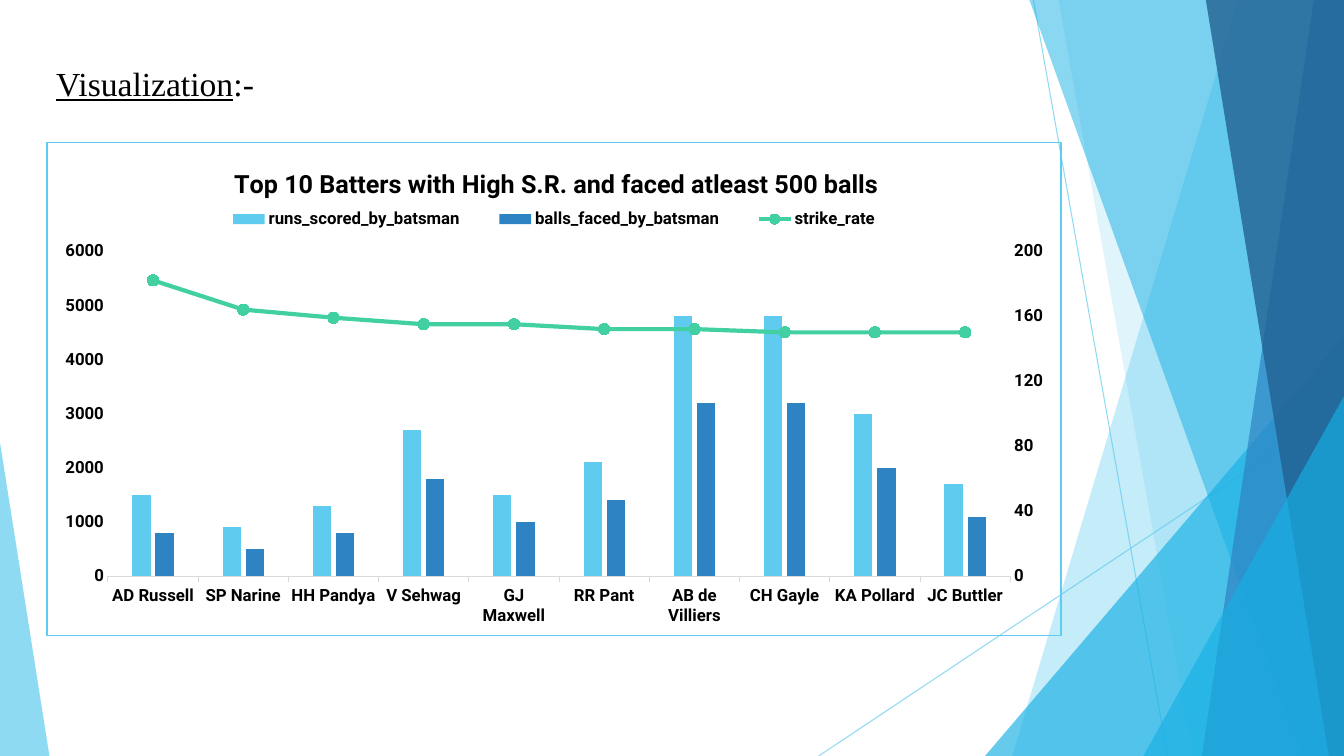
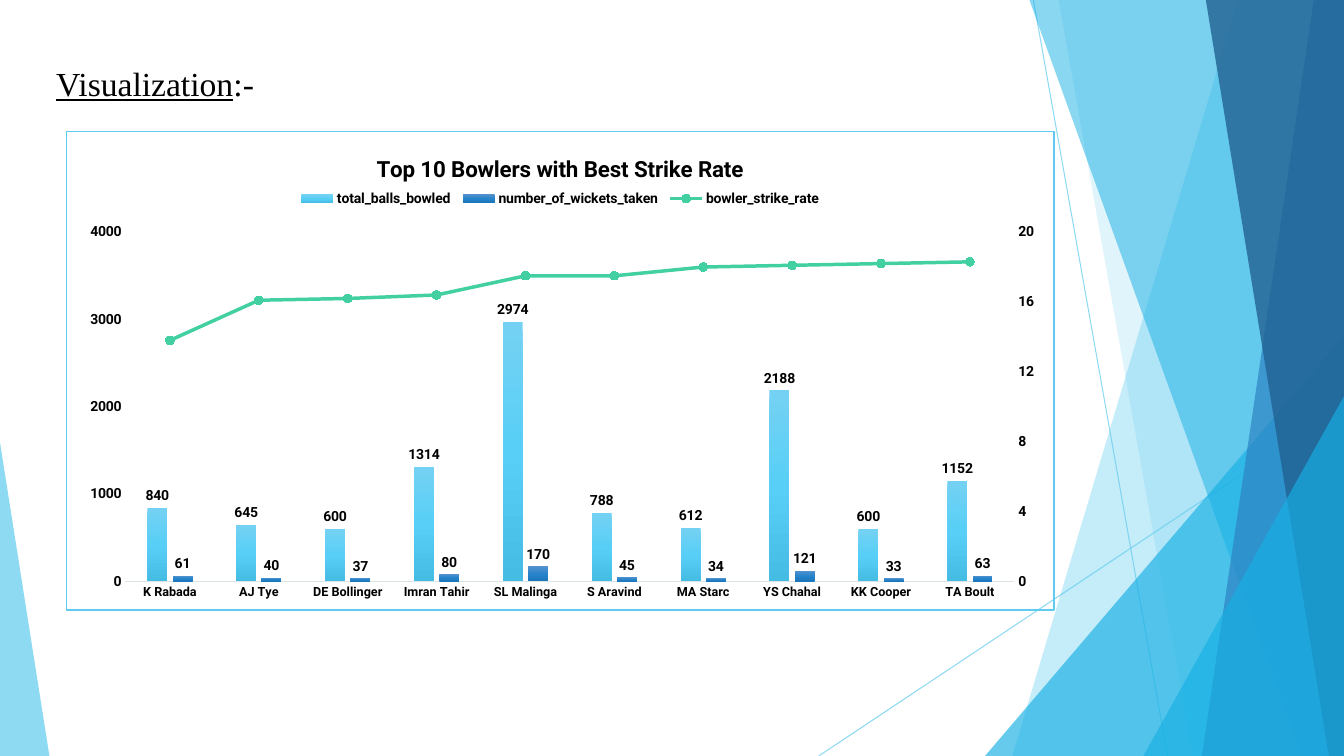
"""Builds two cricket slides, each with a column and line chart on a faceted layout."""
from copy import deepcopy

from lxml import etree
from pptx import Presentation, util as u
from pptx.chart import axis as ax, data
from pptx.dml.color import RGBColor
from pptx.enum import chart as ec, shapes, text
from pptx.oxml import parse_xml
from pptx.oxml.ns import nsdecls, qn

W, H = 13.33, 7.5
C = {"sky": "5FCBEF", "cyan": "17B0E4", "blue": "2E83C3", "navy": "226292",
     "green": "42D0A2", "mint": "3BD7A4", "black": "000000",
     "grey": "D9D9D9", "mist": "DBE4E7"}
SKY_GRAD = ("75D1F3", "58CFF6", "45BCE3")
BLUE_GRAD = ("5491CD", "2784CA", "1C76BB")

EDGES = [((10.25, 0), (11.58, H)), ((W, 4.03), (8.12, H))]
FACETS = [
    ("band", (12.28, 10.04), "sky", 36),
    ("band", (10.5, 11.83), "sky", 20),
    ("triangle", (9.77, 3.33, 3.56, 4.17, 1), "cyan", 66),
    ("band", (10.21, 12.91), "cyan", 50),
    ("band", (13.03, 11.92), "blue", 70),
    ("band", (11.96, 13.18), "navy", 80),
    ("triangle", (11.34, 3.93, 1.99, 3.57, 1), "cyan", 66),
    ("triangle", (0, 4.39, 0.49, 3.11, 0), "sky", 70),
]

BATTERS = {
    "title": "Top 10 Batters with High S.R. and faced atleast 500 balls",
    "box": (0.46, 1.41, 10.07, 4.9),
    "cats": ["AD Russell", "SP Narine", "HH Pandya", "V Sehwag", "GJ Maxwell",
             "RR Pant", "AB de Villiers", "CH Gayle", "KA Pollard", "JC Buttler"],
    "series": [
        ("runs_scored_by_batsman", [1500, 900, 1300, 2700, 1500, 2100, 4800, 4800, 3000, 1700]),
        ("balls_faced_by_batsman", [800, 500, 800, 1800, 1000, 1400, 3200, 3200, 2000, 1100]),
        ("strike_rate", [182, 164, 159, 155, 155, 152, 152, 150, 150, 150])],
    "fills": [C["sky"], C["blue"]], "labels": False, "gap": 269,
    "left": (6000, 1000), "right": (200, 40),
    "sizes": {"title": 18, "cat": 12, "val": 12},
    "cat_line": "grey", "tick": ec.XL_TICK_MARK.OUTSIDE,
    "line": 3, "marker": (8, "green"),
    "title_at": (0.18, 0.04), "legend_at": (0.15, 0.13, 0.7, 0.05),
    "plot_at": (0.06, 0.22, 0.89, 0.66),
}
BOWLERS = {
    "title": "Top 10 Bowlers with Best Strike Rate",
    "box": (0.65, 1.3, 9.81, 4.76),
    "cats": ["K Rabada", "AJ Tye", "DE Bollinger", "Imran Tahir", "SL Malinga",
             "S Aravind", "MA Starc", "YS Chahal", "KK Cooper", "TA Boult"],
    "series": [
        ("total_balls_bowled", [840, 645, 600, 1314, 2974, 788, 612, 2188, 600, 1152]),
        ("number_of_wickets_taken", [61, 40, 37, 80, 170, 45, 34, 121, 33, 63]),
        ("bowler_strike_rate", [13.8, 16.1, 16.2, 16.4, 17.5, 17.5, 18, 18.1, 18.2, 18.3])],
    "fills": [SKY_GRAD, BLUE_GRAD], "labels": True, "gap": 219,
    "left": (4000, 1000), "right": (20, 4),
    "sizes": {"title": 16, "cat": 9, "val": 10},
    "cat_line": "mist", "tick": ec.XL_TICK_MARK.NONE,
    "line": 2.5, "marker": (6, "mint"),
    "title_at": (0.31, 0.04), "legend_at": (0.23, 0.12, 0.54, 0.04),
    "plot_at": (0.06, 0.21, 0.9, 0.73),
}


def rgb(hex_color):
    return RGBColor.from_string(hex_color)


def inches(values):
    return [u.Inches(v) for v in values]


def apply(obj, **values):
    for key, value in values.items():
        setattr(obj, key, value)


def style_font(font, size, name="Roboto", bold=True, **more):
    apply(font, size=u.Pt(size), name=name, bold=bold, **more)
    font.color.rgb = rgb(C["black"])


def style_line(line, color, width):
    line.color.rgb = rgb(color)
    line.width = u.Pt(width)


def set_alpha(sp, percent):
    for clr in sp.element.iter(qn("a:srgbClr")):
        etree.SubElement(clr, qn("a:alpha")).set("val", str(percent * 1000))


def add_edge(s, start, end):
    sp = s.shapes.add_connector(shapes.MSO_CONNECTOR.STRAIGHT, *inches(start + end))
    style_line(sp.line, C["sky"], 0.75)
    set_alpha(sp, 70)
    etree.SubElement(sp.element.spPr, qn("a:effectLst"))


def add_band(s, top_x, bottom_x):
    points = [inches(p) for p in ((top_x, 0), (W, 0), (W, H), (bottom_x, H))]
    builder = s.shapes.build_freeform(*points[0])
    builder.add_line_segments(points[1:], close=True)
    return builder.convert_to_shape()


def add_triangle(s, left, top, width, height, apex):
    sp = s.shapes.add_shape(shapes.MSO_SHAPE.ISOSCELES_TRIANGLE,
                            *inches((left, top, width, height)))
    sp.adjustments[0] = apex
    return sp


def add_facet(s, kind, geometry, color, alpha):
    sp = {"band": add_band, "triangle": add_triangle}[kind](s, *geometry)
    sp.shadow.inherit = False
    sp.fill.solid()
    sp.fill.fore_color.rgb = rgb(C[color])
    sp.line.fill.background()
    set_alpha(sp, alpha)


def decorate_layout(layout, s):
    for ph in list(layout.placeholders):
        ph.element.getparent().remove(ph.element)
    for start, end in EDGES:
        add_edge(s, start, end)
    for facet in FACETS:
        add_facet(s, *facet)
    for sp in list(s.shapes):
        layout.shapes.element.append(sp.element)


def add_title(s):
    tf = s.shapes.add_textbox(*inches((0.46, 0.54, 2.34, 0.76))).text_frame
    apply(tf, word_wrap=True, vertical_anchor=text.MSO_ANCHOR.TOP,
          margin_top=u.Inches(0.08))
    p = tf.paragraphs[0]
    for words, underline in (("Visualization", True), (":-", False)):
        r = p.add_run()
        r.text = words
        style_font(r.font, 24, "Times New Roman", False, underline=underline)


def set_layout(parent, index, values, inner=False):
    for old in parent.findall(qn("c:layout")):
        parent.remove(old)
    layout = etree.Element(qn("c:layout"))
    manual = etree.SubElement(layout, qn("c:manualLayout"))
    settings = [("layoutTarget", "inner")] if inner else []
    settings += [("xMode", "edge"), ("yMode", "edge"), *zip("xywh", values)]
    for tag, value in settings:
        etree.SubElement(manual, qn("c:" + tag)).set("val", str(value))
    parent.insert(index, layout)


def fill_columns(series, ser, color):
    fill = series.format.fill
    if isinstance(color, str):
        fill.solid()
        fill.fore_color.rgb = rgb(color)
        return
    fill.gradient()
    fill.gradient_angle = 270
    stops = ser.xpath("./c:spPr//a:gsLst")[0]
    for old in list(stops):
        stops.remove(old)
    for pos, hex_color in zip((0, 50000, 100000), color):
        gs = etree.SubElement(stops, qn("a:gs"), pos=str(pos))
        etree.SubElement(gs, qn("a:srgbClr"), val=hex_color)


def style_value_axis(axis, limits, size):
    apply(axis, minimum_scale=0, maximum_scale=limits[0], major_unit=limits[1],
          has_major_gridlines=False, major_tick_mark=ec.XL_TICK_MARK.NONE)
    axis.format.line.fill.background()
    style_font(axis.tick_labels.font, size)


def move_last_series_to_line(chart):
    """Puts the last series on a line plot and returns its right-hand axis."""
    cs = chart.element
    bars, cat, val = (cs.xpath(".//c:" + tag)[0] for tag in ("barChart", "catAx", "valAx"))
    ser = bars.findall(qn("c:ser"))[-1]
    for old in ser.findall(qn("c:invertIfNegative")):
        ser.remove(old)
    line = parse_xml(f'<c:lineChart {nsdecls("c")}><c:grouping val="standard"/>'
                     '<c:varyColors val="0"/><c:marker val="1"/>'
                     '<c:axId val="50010"/><c:axId val="50020"/></c:lineChart>')
    line.insert(2, ser)
    bars.addnext(line)
    right, hidden = deepcopy(val), deepcopy(cat)
    for el, own, other in ((right, "50020", "50010"), (hidden, "50010", "50020")):
        el.find(qn("c:axId")).set("val", own)
        el.find(qn("c:crossAx")).set("val", other)
    right.find(qn("c:axPos")).set("val", "r")
    right.find(qn("c:crosses")).set("val", "max")
    val.addnext(right)
    right.addnext(hidden)
    ax.CategoryAxis(hidden).visible = False
    return ax.ValueAxis(right)


def style_line_series(series, width, marker):
    size, color = marker
    series.smooth = False
    style_line(series.format.line, C["green"], width)
    apply(series.marker, style=ec.XL_MARKER_STYLE.CIRCLE, size=size)
    series.marker.format.fill.solid()
    series.marker.format.fill.fore_color.rgb = rgb(C[color])
    series.marker.format.line.color.rgb = rgb(C[color])


def add_labels(series):
    labels = series.data_labels
    apply(labels, show_value=True, position=ec.XL_LABEL_POSITION.OUTSIDE_END)
    style_font(labels.font, 10)


def add_chart_frame(cs):
    cs.find(qn("c:chart")).addnext(parse_xml(
        f'<c:spPr {nsdecls("c", "a")}><a:noFill/><a:ln w="12700"><a:solidFill>'
        f'<a:srgbClr val="{C["sky"]}"/></a:solidFill></a:ln></c:spPr>'))


def add_headings(chart, d):
    chart.has_title = chart.has_legend = True
    tf = chart.chart_title.text_frame
    tf.text = d["title"]
    style_font(tf.paragraphs[0].runs[0].font, d["sizes"]["title"])
    apply(chart.legend, position=ec.XL_LEGEND_POSITION.TOP, include_in_layout=False)
    style_font(chart.legend.font, d["sizes"]["val"])


def add_combo_chart(s, d):
    cd = data.CategoryChartData()
    cd.categories = d["cats"]
    for name, values in d["series"]:
        cd.add_series(name, values)
    chart = s.shapes.add_chart(ec.XL_CHART_TYPE.COLUMN_CLUSTERED,
                               *inches(d["box"]), cd).chart
    cs = chart.element
    style_font(chart.font, 10, bold=False)
    add_chart_frame(cs)
    add_headings(chart, d)

    cat = chart.category_axis
    cat.major_tick_mark = d["tick"]
    style_line(cat.format.line, C[d["cat_line"]], 0.75)
    style_font(cat.tick_labels.font, d["sizes"]["cat"])
    style_value_axis(chart.value_axis, d["left"], d["sizes"]["val"])
    right = move_last_series_to_line(chart)
    style_value_axis(right, d["right"], d["sizes"]["val"])

    columns, line = chart.plots
    apply(columns, gap_width=d["gap"], overlap=-27, vary_by_categories=False)
    for series, ser, color in zip(columns.series, cs.xpath(".//c:barChart/c:ser"), d["fills"]):
        fill_columns(series, ser, color)
        if d["labels"]:
            add_labels(series)
    style_line_series(line.series[0], d["line"], d["marker"])

    set_layout(cs.xpath("./c:chart/c:title")[0], 1, d["title_at"])
    set_layout(cs.xpath(".//c:legend")[0], 1, d["legend_at"])
    set_layout(cs.xpath(".//c:plotArea")[0], 0, d["plot_at"], inner=True)


def main():
    prs = Presentation()
    apply(prs, slide_width=u.Inches(W), slide_height=u.Inches(H))
    layout = prs.slide_layouts[6]
    for i, d in enumerate((BATTERS, BOWLERS)):
        s = prs.slides.add_slide(layout)
        if i == 0:
            decorate_layout(layout, s)
        add_title(s)
        add_combo_chart(s, d)
    prs.save("out.pptx")


if __name__ == "__main__":
    main()
